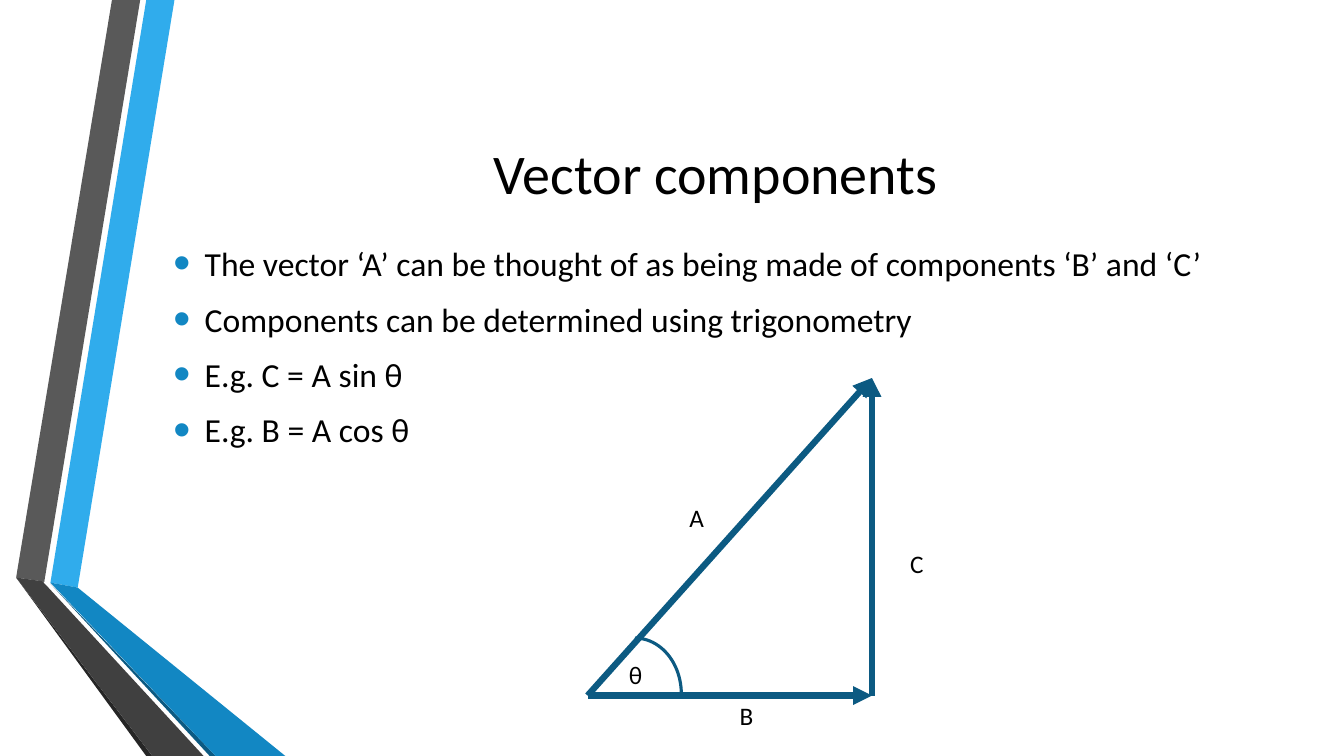
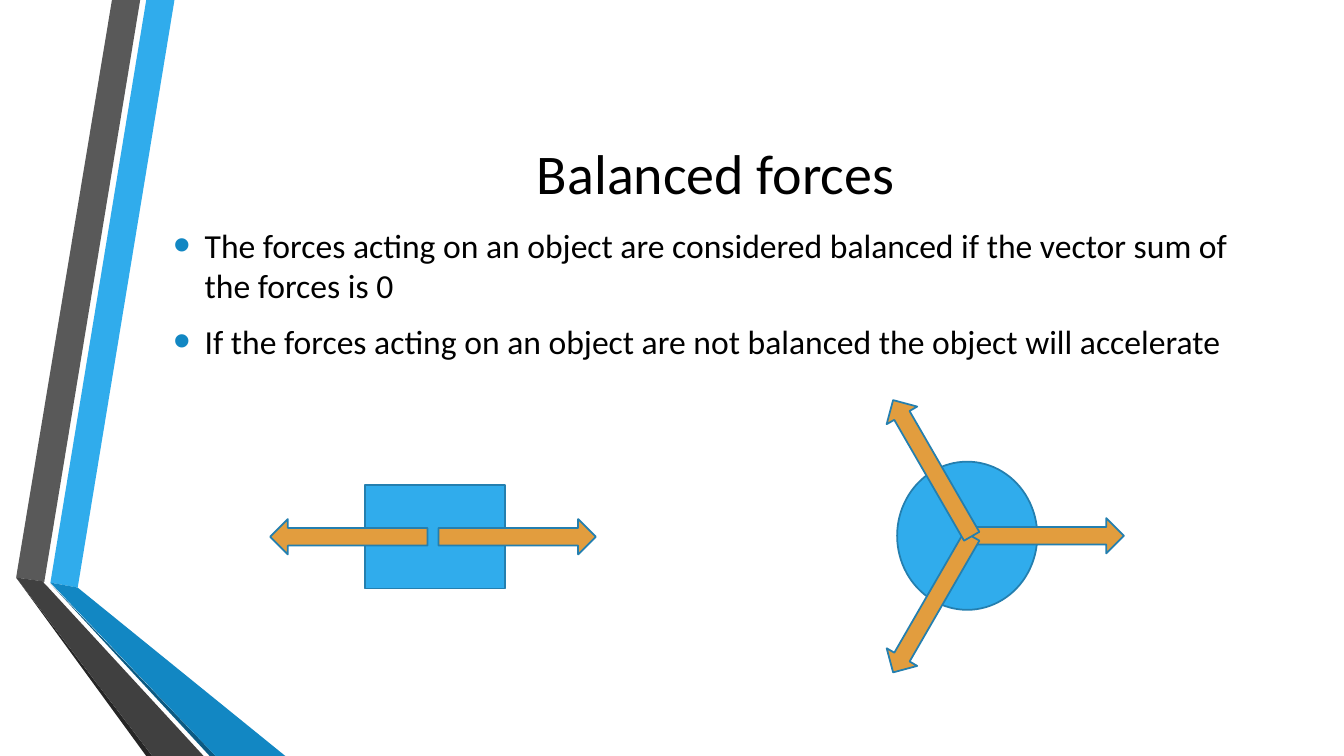
from math import cos, radians, sin
from typing import NamedTuple

from lxml.etree import SubElement
from pptx import Presentation
from pptx.dml.color import RGBColor
from pptx.enum.shapes import MSO_CONNECTOR, MSO_SHAPE
from pptx.enum.text import MSO_ANCHOR, PP_ALIGN
from pptx.oxml.ns import qn
from pptx.shapes.autoshape import Shape
from pptx.slide import Slide, SlideLayout
from pptx.util import Inches, Pt

# Shared look
WIDE, HIGH = Inches(13.33), Inches(7.5)
FONT = "Calibri"
BLACK, NAVY, BLUE, SKY = "000000", "0C5A82", "1287C3", "30ACEC"
EDGE, GOLD = "247FAF", "E29D3E"

# Lengths are percent shares of the slide's width and height
LEFT, SPAN, FLOOR = 12.15, 82.2, 84.4
LONG, THICK = 11.7, 4.67  # force arrow


class Point(NamedTuple):
    x: float
    y: float


class Box(NamedTuple):
    left: float
    top: float
    width: float
    height: float


class Band(NamedTuple):
    color: str
    points: list[tuple[float, float]]


class Label(NamedTuple):
    text: str
    left: float
    top: float


class Force(NamedTuple):
    tail: Point
    angle: int


BANDS = [
    Band(SKY, [(3.75, 77.07), (5.78, 77.73), (12.98, 0), (10.88, 0)]),
    Band("595959", [(10.43, 0), (8.33, 0), (1.2, 76.4), (3.3, 76.93)]),
    Band("262626", [(1.2, 76.4), (10.88, 100), (11.33, 100)]),
    Band(NAVY, [(3.75, 77.2), (15.6, 100), (16.05, 100)]),
    Band(BLUE, [(3.75, 77.07), (16.05, 100), (21.23, 100), (5.78, 77.73)]),
    Band("404040", [(15.15, 100), (3.6, 77.73), (3.23, 77.07),
                    (3.3, 76.93), (1.2, 76.4), (11.33, 100)]),
]


def across(share: float) -> int:
    return round(WIDE * share / 100)


def down(share: float) -> int:
    return round(HIGH * share / 100)


def place(box: Box) -> tuple[int, int, int, int]:
    return (across(box.left), down(box.top),
            across(box.width), down(box.height))


def rgb(color: str) -> RGBColor:
    return RGBColor.from_string(color)


def style(para, size: float) -> None:
    para.font.name = FONT
    para.font.size = Pt(size)
    para.font.color.rgb = rgb(BLACK)


def paint(shape: Shape, fill: str | None, line: str | None = None,
          weight: float = 1.25) -> None:
    shape.shadow.inherit = False
    if fill:
        shape.fill.solid()
        shape.fill.fore_color.rgb = rgb(fill)
    else:
        shape.fill.background()
    if line:
        shape.line.color.rgb = rgb(line)
        shape.line.width = Pt(weight)
    else:
        shape.line.fill.background()


def draw_bands(slide: Slide, layout: SlideLayout) -> None:
    """Build the ribbon and move it to the layout, for all slides."""
    for band in BANDS:
        dots = [(across(x), down(y)) for x, y in band.points]
        pen = slide.shapes.build_freeform(*dots[0], scale=1.0)
        pen.add_line_segments(dots[1:], close=True)
        shape = pen.convert_to_shape()
        paint(shape, band.color)
        layout.shapes.element.append(shape.element)


def bullet(para) -> None:
    para.space_after = Pt(6)
    props = para._p.get_or_add_pPr()
    props.set("marL", str(Inches(0.31)))
    props.set("indent", str(-Inches(0.31)))
    tint = SubElement(props, qn("a:buClr"))
    SubElement(tint, qn("a:srgbClr"), val=BLUE)
    SubElement(props, qn("a:buSzPct"), val="145000")
    SubElement(props, qn("a:buFont"), typeface="Arial")
    SubElement(props, qn("a:buChar"), char="•")


def write(slide: Slide, title: str, top: float, items: list[str]) -> None:
    head, body = slide.shapes.title, slide.placeholders[1]
    head.left, head.top, head.width, head.height = place(
        Box(LEFT, 10, SPAN, 25.6))
    head.text_frame.text = title
    head.text_frame.vertical_anchor = MSO_ANCHOR.MIDDLE
    head.text_frame.paragraphs[0].alignment = PP_ALIGN.CENTER
    style(head.text_frame.paragraphs[0], 40)

    body.left, body.top, body.width, body.height = place(
        Box(LEFT, top, SPAN, FLOOR - top))
    body.text_frame.text = "\n".join(items)
    for para in body.text_frame.paragraphs:
        bullet(para)
        style(para, 24)


def draw_vector(slide: Slide, start: Point, end: Point) -> None:
    link = slide.shapes.add_connector(
        MSO_CONNECTOR.STRAIGHT, across(start.x), down(start.y),
        across(end.x), down(end.y))
    link.line.color.rgb = rgb(NAVY)
    link.line.width = Pt(4.5)
    props = link.element.spPr
    SubElement(props.get_or_add_ln(), qn("a:tailEnd"), type="triangle")
    SubElement(props, qn("a:effectLst"))


def draw_label(slide: Slide, label: Label) -> None:
    box = slide.shapes.add_textbox(
        *place(Box(label.left, label.top, 2.63, 5.33)))
    box.text_frame.word_wrap = True
    box.text_frame.text = label.text
    style(box.text_frame.paragraphs[0], 18)


def draw_body(slide: Slide, kind: MSO_SHAPE, box: Box) -> None:
    paint(slide.shapes.add_shape(kind, *place(box)), SKY, EDGE)


def draw_force(slide: Slide, force: Force) -> None:
    """Place an arrow by its tail, pointing clockwise from the right."""
    turn, half = radians(force.angle), across(LONG) / 2
    mid_x = across(force.tail.x) + half * cos(turn)
    mid_y = down(force.tail.y) + half * sin(turn)
    arrow = slide.shapes.add_shape(
        MSO_SHAPE.RIGHT_ARROW, round(mid_x - half),
        round(mid_y - down(THICK) / 2), across(LONG), down(THICK))
    arrow.rotation = force.angle
    paint(arrow, GOLD, EDGE)


deck = Presentation()
deck.slide_width, deck.slide_height = WIDE, HIGH
layout = deck.slide_layouts[1]

# Slide 1: vector triangle
parts = deck.slides.add_slide(layout)
draw_bands(parts, layout)
write(parts, "Vector components", 31.47, [
    "The vector ‘A’ can be thought of as being made of components ‘B’ and ‘C’",
    "Components can be determined using trigonometry",
    "E.g. C = A sin θ",
    "E.g. B = A cos θ",
])
base, corner, peak = Point(43.72, 92), Point(64.88, 92), Point(64.88, 50)
for start, end in [(base, peak), (base, corner), (corner, peak)]:
    draw_vector(parts, start, end)
for label in [Label("A", 50.55, 65.73), Label("B", 54.3, 92),
              Label("C", 66.98, 71.87), Label("θ", 46.05, 86.53)]:
    draw_label(parts, label)
arc = parts.shapes.add_shape(MSO_SHAPE.ARC, *place(Box(43.8, 84.4, 6.9, 14.8)))
paint(arc, None, NAVY, 2.25)

# Slide 2: balanced bodies
poise = deck.slides.add_slide(layout)
write(poise, "Balanced forces", 29.07, [
    "The forces acting on an object are considered balanced if the vector "
    "sum of the forces is 0",
    "If the forces acting on an object are not balanced the object will "
    "accelerate",
])
draw_body(poise, MSO_SHAPE.RECTANGLE, Box(27.15, 64.13, 10.43, 13.73))
draw_body(poise, MSO_SHAPE.OVAL, Box(66.75, 61.07, 10.43, 19.6))
hub = Point(72.3, 70.93)
for force in [Force(Point(32.63, 71), 0), Force(Point(31.8, 71), 180),
              Force(Point(71.93, 70.87), 0), Force(hub, 120),
              Force(hub, 240)]:
    draw_force(poise, force)

deck.save("out.pptx")
